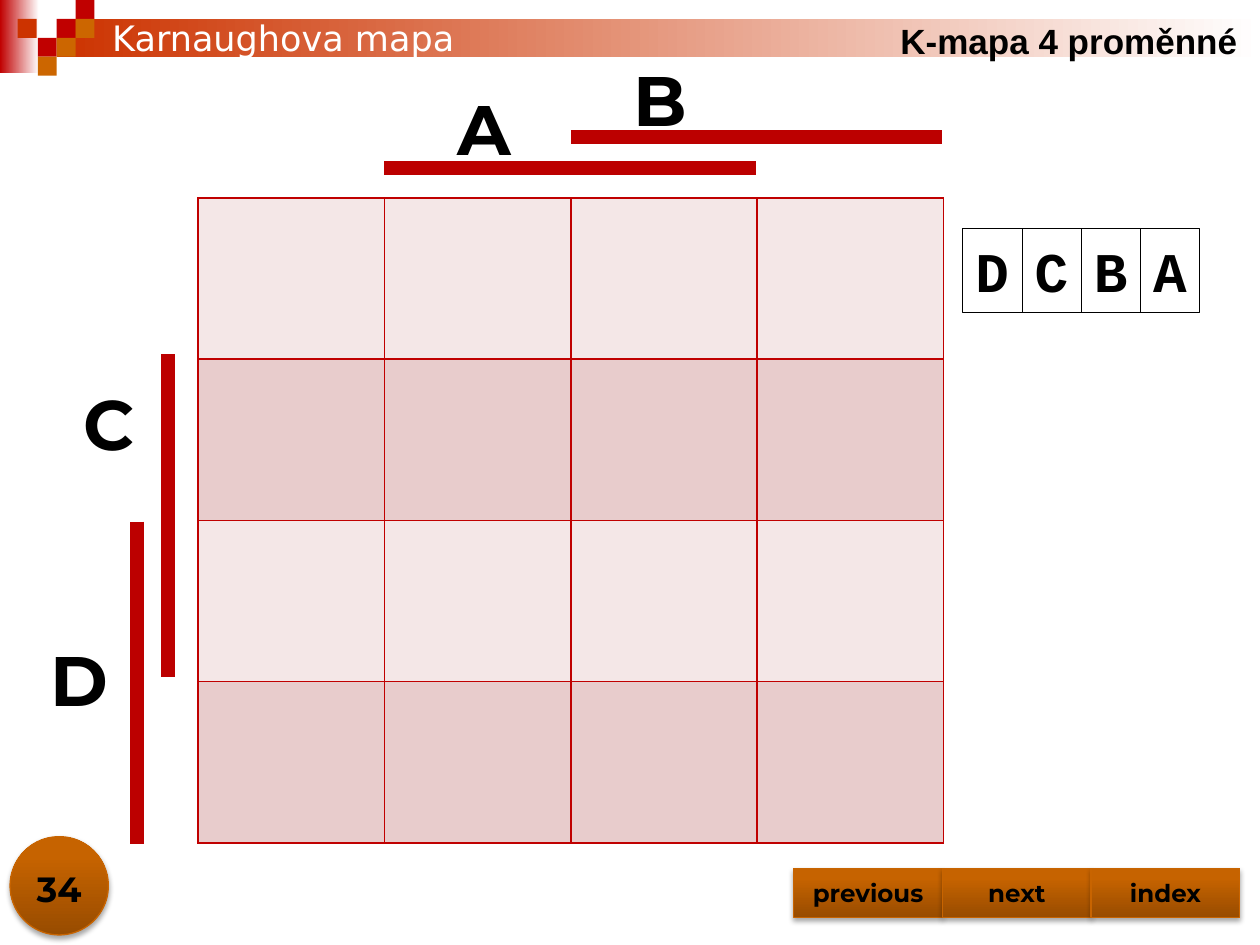
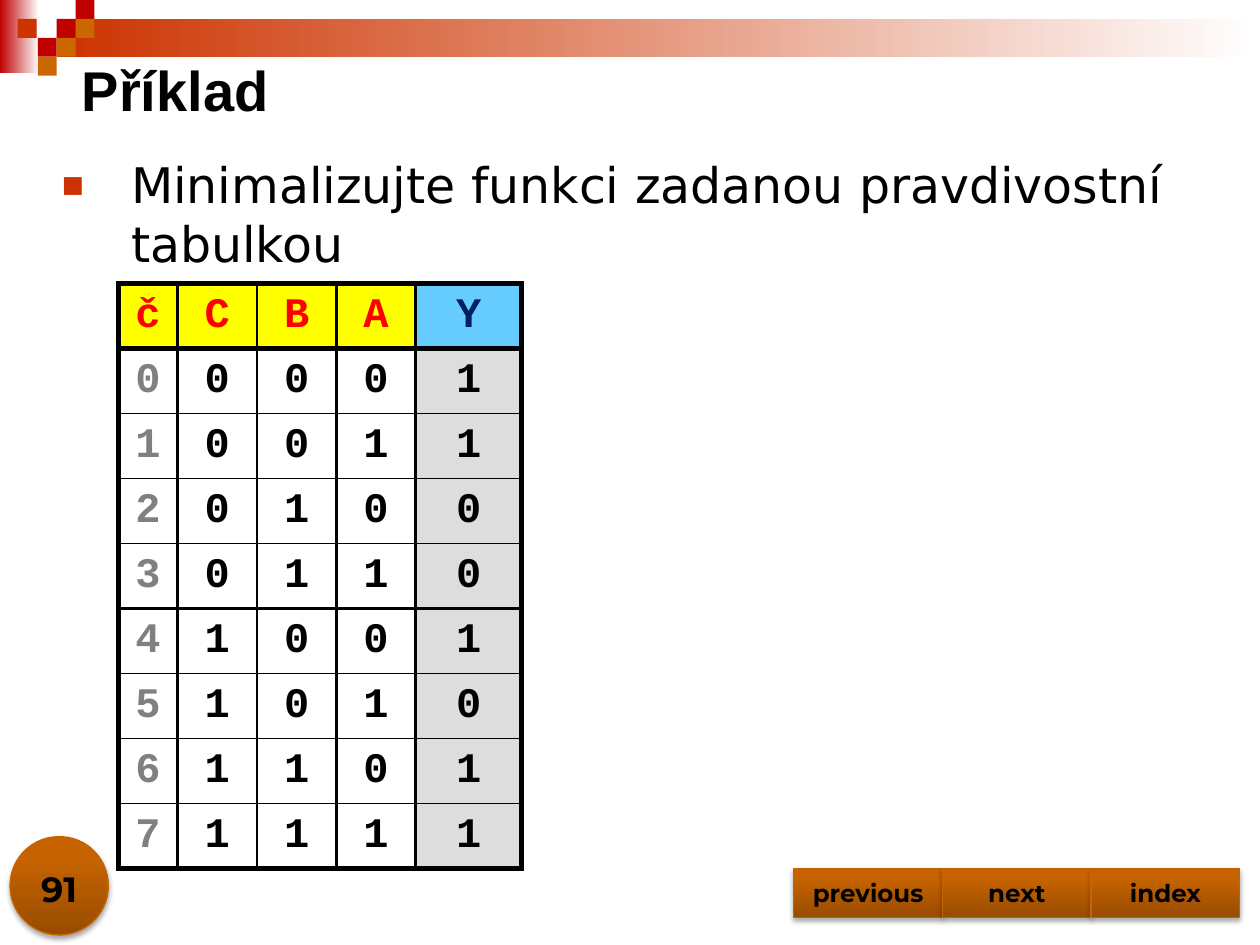
from lxml import etree
from pptx import Presentation
from pptx.dml.color import RGBColor
from pptx.enum.shapes import MSO_CONNECTOR, MSO_SHAPE
from pptx.enum.text import MSO_ANCHOR, MSO_AUTO_SIZE, PP_ALIGN
from pptx.oxml import parse_xml
from pptx.oxml.ns import qn
from pptx.util import Inches, Pt

RECT = MSO_SHAPE.RECTANGLE
OVAL = MSO_SHAPE.OVAL
BUTTON = MSO_SHAPE.ACTION_BUTTON_CUSTOM
LINE = MSO_CONNECTOR.STRAIGHT
LEFT, CENTER, RIGHT = PP_ALIGN.LEFT, PP_ALIGN.CENTER, PP_ALIGN.RIGHT
MIDDLE, BOTTOM, TOP = MSO_ANCHOR.MIDDLE, MSO_ANCHOR.BOTTOM, MSO_ANCHOR.TOP
NOFIT = MSO_AUTO_SIZE.NONE

NS = 'xmlns:a="http://schemas.openxmlformats.org/drawingml/2006/main"'
BLACK, WHITE = "000000", "FFFFFF"
RED, RUST, AMBER = "C00000", "CC3300", "CC6600"
BAR = "BC0000"
GLOSS = [(0, "984C00"), (80, "C66300"), (100, "C76300")]
SANS, MONO, HEAD, PLAIN = "Arial", "Courier New", "Montserrat", "DejaVu Sans"


def rgb(code):
    return RGBColor.from_string(code)


# Text
def write(frame, text, font, size, color=BLACK, bold=True, align=CENTER,
          anchor=MIDDLE, wrap=True):
    frame.text = text
    frame.word_wrap = wrap
    frame.auto_size = NOFIT
    frame.vertical_anchor = anchor
    style(frame.paragraphs[0], font, size, color, bold, align)


def style(para, font, size, color, bold, align):
    para.alignment = align
    for run in para.runs:
        run.font.name = font
        run.font.size = Pt(size)
        run.font.bold = bold
        run.font.color.rgb = rgb(color)


def label(slide, box, text, font, size, **look):
    frame = slide.shapes.add_textbox(*map(Inches, box)).text_frame
    write(frame, text, font, size, **look)


def place(holder, box):
    holder.left, holder.top, holder.width, holder.height = map(Inches, box)
    return holder.text_frame


def bullet(para, indent, mark, color):
    props = para._p.get_or_add_pPr()
    props.set("marL", str(Inches(indent)))
    props.set("indent", str(-Inches(indent)))
    for part in (f'<a:buClr {NS}><a:srgbClr val="{color}"/></a:buClr>',
                 f'<a:buSzPct {NS} val="75000"/>',
                 f'<a:buChar {NS} char="{mark}"/>'):
        props.append(parse_xml(part))


# Shapes
def shape(shapes, kind, box, fill=None, line=None, width=0.75):
    item = shapes.add_shape(kind, *map(Inches, box))
    item.shadow.inherit = False
    if fill:
        item.fill.solid()
        item.fill.fore_color.rgb = rgb(fill)
    else:
        item.fill.background()
    if line:
        item.line.color.rgb = rgb(line)
        item.line.width = Pt(width)
    else:
        item.line.fill.background()
    return item


def shade(item, stops, angle):
    item.fill.gradient()
    props = item.element.spPr
    marks = "".join(f'<a:gs pos="{pos * 1000}"><a:srgbClr val="{code}"/></a:gs>'
                    for pos, code in stops)
    props.replace(props.find(qn("a:gradFill")), parse_xml(
        f'<a:gradFill {NS} rotWithShape="1"><a:gsLst>{marks}</a:gsLst>'
        f'<a:lin ang="{angle * 60000}" scaled="0"/></a:gradFill>'))


def gloss(slide, kind, box):
    item = shape(slide.shapes, kind, box, AMBER, "C86400")
    shade(item, GLOSS, 270)
    item.element.spPr.find(qn("a:effectLst")).append(parse_xml(
        f'<a:outerShdw {NS} blurRad="{Pt(3.1)}" dist="{Pt(1.8)}" dir="5400000" '
        f'rotWithShape="0"><a:srgbClr val="{BLACK}"><a:alpha val="35000"/>'
        '</a:srgbClr></a:outerShdw>'))
    return item


def bar(slide, *ends):
    item = slide.shapes.add_connector(LINE, *map(Inches, ends))
    item.line.color.rgb = rgb(BAR)
    item.line.width = Pt(8)
    etree.SubElement(item.element.spPr, qn("a:effectLst"))


# Tables
def edge(cell, sides, color):
    props = cell._tc.get_or_add_tcPr()
    for side, width in zip("LRTB", sides):
        props.append(parse_xml(
            f'<a:ln{side} {NS} w="{Pt(width)}"><a:solidFill>'
            f'<a:srgbClr val="{color}"/></a:solidFill></a:ln{side}>'))


def grid(slide, spot, cols, rows, uprights, levels, color, paint):
    box = (*spot, sum(cols), sum(rows))
    table = slide.shapes.add_table(len(rows), len(cols),
                                   *map(Inches, box)).table
    for col, width in zip(table.columns, cols):
        col.width = Inches(width)
    for r, height in enumerate(rows):
        table.rows[r].height = Inches(height)
        for c in range(len(cols)):
            cell = table.cell(r, c)
            edge(cell, uprights[c:c + 2] + levels[r:r + 2], color)
            cell.fill.solid()
            cell.fill.fore_color.rgb = rgb(paint(r, c))
    return table


# Shared parts
def band(deck, slide):
    """Build the top band once and move it to the slide master."""
    group = slide.shapes.add_group_shape()
    for box, color in (((0, 0, 0.31, 0.58), RED),
                       ((0.45, 0.15, 9.55, 0.3), RUST)):
        item = shape(group.shapes, RECT, box, color)
        shade(item, [(0, color), (100, WHITE)], 0)
    for x, y, color in ((0.45, 0.15, RED), (0.6, 0, RED), (0.6, 0.15, AMBER),
                        (0.3, 0.3, RED), (0.14, 0.15, RUST),
                        (0.45, 0.3, AMBER), (0.3, 0.45, AMBER)):
        shape(group.shapes, RECT, (x, y, 0.15, 0.15), color)
    for num, mark in enumerate(group.element.iter(qn("p:cNvPr")), 100):
        mark.set("id", str(num))
    deck.slide_master.shapes.element.insert(2, group.element)


def footer(slide, number):
    for i, name in enumerate(("previous", "next", "index")):
        item = gloss(slide, BUTTON, (6.3 + 1.18 * i, 6.89, 1.18, 0.39))
        write(item.text_frame, name, HEAD, 14)
    gloss(slide, OVAL, (0.08, 6.64, 0.78, 0.78))
    label(slide, (0, 6.77, 0.94, 0.5), number, HEAD, 20, anchor=BOTTOM)


# Slides
def kmap(slide):
    write(place(slide.shapes.title, (0.79, 0.08, 4.47, 0.44)),
          "Karnaughova mapa", PLAIN, 20, WHITE, False, LEFT)
    label(slide, (4.69, 0.08, 5.23, 0.48), "K-mapa 4 proměnné", SANS, 20,
          align=RIGHT)
    grid(slide, (1.57, 1.57), [1.48] * 4, [1.28] * 4, [1] * 5, [1] * 5, RED,
         lambda r, c: "E8CCCC" if r % 2 else "F4E7E7")

    # Variable bars and their letters
    for ends in ((3.05, 1.33, 6, 1.33), (4.53, 1.09, 7.48, 1.09),
                 (1.33, 2.81, 1.33, 5.37), (1.09, 4.14, 1.09, 6.7)):
        bar(slide, *ends)
    for name, x, y in (("A", 3.52, 0.63), ("B", 4.92, 0.4),
                       ("C", 0.55, 2.97), ("D", 0.31, 5)):
        label(slide, (x, y, 0.64, 0.77), name, HEAD, 40, wrap=False)

    # Order of the variables
    for i, name in enumerate("DCBA"):
        item = shape(slide.shapes, RECT, (7.64 + 0.47 * i, 1.81, 0.47, 0.67),
                     line=BLACK, width=0.25)
        write(item.text_frame, name, MONO, 32, wrap=False)
    footer(slide, "34")


def truth(slide):
    write(place(slide.shapes.title, (0.55, 0.31, 9.45, 0.79)),
          "Příklad", SANS, 32, align=LEFT)
    body = place(slide.placeholders[1], (0.39, 1.18, 9.61, 1.04))
    write(body, "Minimalizujte funkci zadanou pravdivostní tabulkou",
          PLAIN, 28, bold=False, align=LEFT, anchor=TOP)
    para = body.paragraphs[0]
    para.space_before, para.space_after = Pt(0), Pt(24)
    bullet(para, 0.55, "■", RUST)

    # Truth table
    def paint(r, c):
        if r == 0:
            return "66CCFF" if c == 4 else "FFFF00"
        return "DDDDDD" if c == 4 else WHITE

    def ink(r, c):
        if r == 0:
            return "002060" if c == 4 else "FF0000"
        return BLACK if c else "808080"

    lines = ["čCBAY"]
    lines += [f"{n}{n:03b}{y}" for n, y in enumerate("11001011")]
    table = grid(slide, (0.94, 2.25), [0.47, 0.63, 0.63, 0.63, 0.84],
                 [0.516] * 9, [3, 2.25, 1.5, 1.5, 2.25, 3],
                 [3, 3, 1, 1, 1, 2.25, 1, 1, 1, 3], BLACK, paint)
    for r, line in enumerate(lines):
        for c, sign in enumerate(line):
            cell = table.cell(r, c)
            cell.text_frame.text = sign
            cell.vertical_anchor = MIDDLE
            style(cell.text_frame.paragraphs[0], MONO, 24, ink(r, c), True,
                  CENTER)
    footer(slide, "91")


def main():
    deck = Presentation()
    deck.slide_width, deck.slide_height = Inches(10), Inches(7.5)
    first = deck.slides.add_slide(deck.slide_layouts[5])
    band(deck, first)
    kmap(first)
    truth(deck.slides.add_slide(deck.slide_layouts[1]))
    deck.save("out.pptx")


if __name__ == "__main__":
    main()
